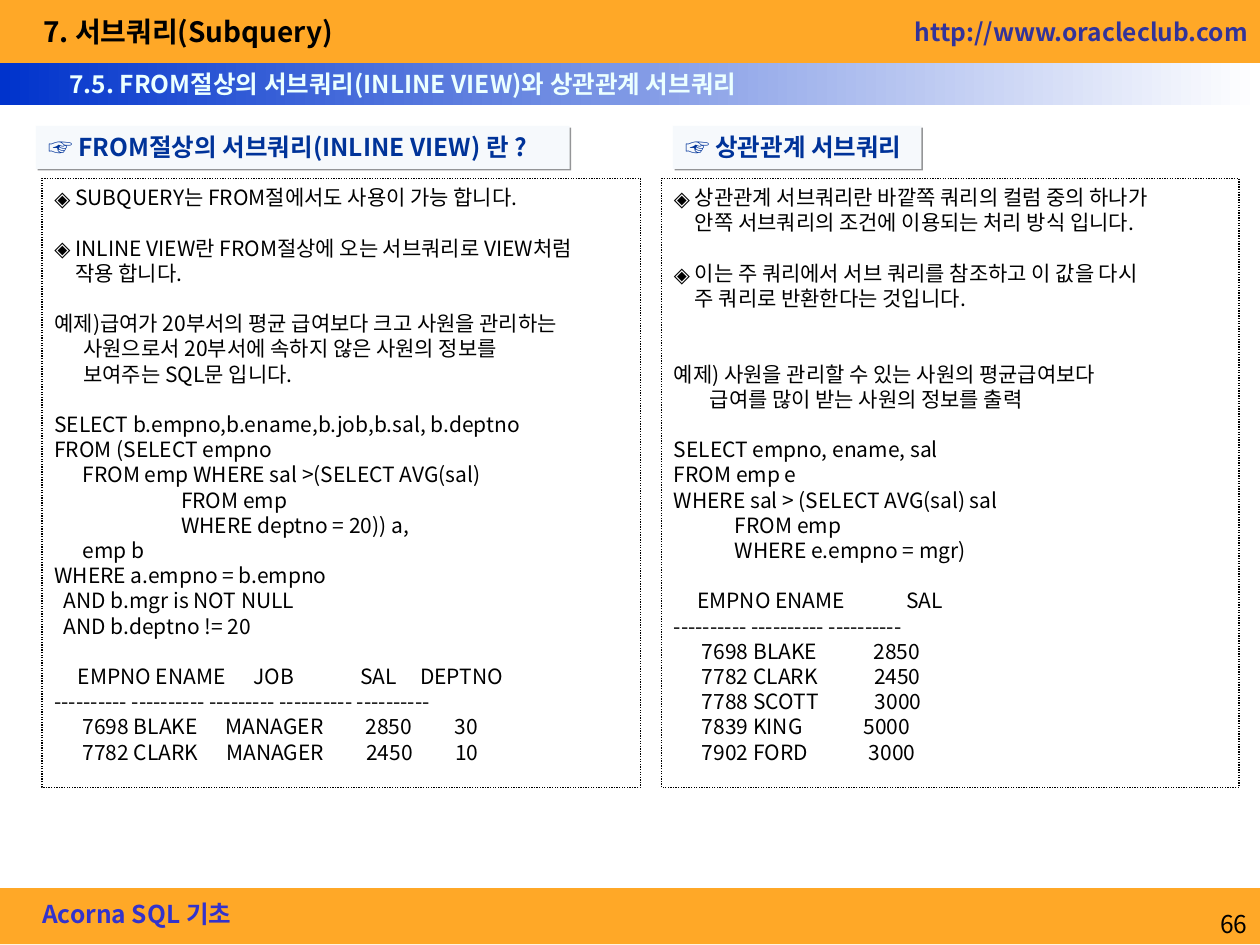
"""Build the slide on inline views and correlated subqueries."""
from dataclasses import dataclass

from lxml import etree
from pptx import Presentation
from pptx import util as u
from pptx.dml import color
from pptx.enum import dml, shapes, text
from pptx.oxml import ns


@dataclass(frozen=True)
class Theme:
    """Colours, font and type sizes of the slide."""
    font: str = "Noto Sans CJK KR"
    bar: str = "FFA827"
    fade_from: str = "0033CC"
    fade_to: str = "FFFFFF"
    ink: str = "000000"
    footer: str = "3333CC"
    link: str = "333399"
    subtitle: str = "EBFFFF"
    heading: str = "003399"
    label: str = "F6F9FC"
    shade: str = "949597"
    title_size: int = 16
    heading_size: int = 14
    body_size: int = 12
    leading: float = 1.2


THEME = Theme()
LINE = THEME.body_size * THEME.leading

INLINE_VIEW = [
    dict(words="SUBQUERY는 FROM절에서도 사용이 가능 합니다.", bullet="◈"),
    dict(words="INLINE VIEW란 FROM절상에 오는 서브쿼리로 VIEW처럼\n작용 합니다.",
         bullet="◈", gap=1),
    dict(words="예제)급여가 20부서의 평균 급여보다 크고 사원을 관리하는\n"
               "사원으로서 20부서에 속하지 않은 사원의 정보를\n"
               "보여주는 SQL문 입니다.", hang=16.5, gap=1),
    dict(words="""SELECT b.empno,b.ename,b.job,b.sal, b.deptno
FROM (SELECT empno
      FROM emp WHERE sal >(SELECT AVG(sal)
                           FROM emp
                           WHERE deptno = 20)) a,
      emp b
WHERE a.empno = b.empno
  AND b.mgr is NOT NULL
  AND b.deptno != 20""", gap=1),
    dict(words="""     EMPNO ENAME      JOB              SAL     DEPTNO
---------- ---------- --------- ---------- ----------
      7698 BLAKE      MANAGER         2850         30
      7782 CLARK      MANAGER         2450         10""", gap=1),
]

CORRELATED = [
    dict(words="상관관계 서브쿼리란 바깥쪽 쿼리의 컬럼 중의 하나가\n"
               "안쪽 서브쿼리의 조건에 이용되는 처리 방식 입니다.", bullet="◈"),
    dict(words="이는 주 쿼리에서 서브 쿼리를 참조하고 이 값을 다시\n"
               "주 쿼리로 반환한다는 것입니다.", bullet="◈", gap=1),
    dict(words="예제) 사원을 관리할 수 있는 사원의 평균급여보다\n"
               "급여를 많이 받는 사원의 정보를 출력", hang=20.5, gap=2),
    dict(words="""SELECT empno, ename, sal
FROM emp e
WHERE sal > (SELECT AVG(sal) sal
             FROM emp
             WHERE e.empno = mgr)""", gap=1),
    dict(words="""     EMPNO ENAME             SAL
---------- ---------- ----------
      7698 BLAKE            2850
      7782 CLARK            2450
      7788 SCOTT            3000
      7839 KING             5000
      7902 FORD             3000""", gap=1),
]


def rgb(value):
    """Turn a hex value into a colour."""
    return color.RGBColor.from_string(value)


def apply(target, **values):
    """Set each format value on the target."""
    for name, value in values.items():
        setattr(target, name, value)


def child(parent, tag, **attributes):
    """Add an XML element below the parent."""
    return etree.SubElement(parent, ns.qn(tag), attributes)


def place(frame, box):
    """Put a shape at left, top, width and height in points."""
    apply(frame, **dict(zip(("left", "top", "width", "height"), map(u.Pt, box))))


def write(paragraph, words, size, ink, bold=False, align=text.PP_ALIGN.LEFT,
          bullet=None, hang=0, gap=0):
    """Fill one paragraph with formatted words."""
    props = paragraph._p.get_or_add_pPr()
    hang = 12 if bullet else hang
    props.set("marL", str(u.Pt(hang)))
    props.set("indent", str(-u.Pt(hang)))
    if bullet:
        child(props, "a:buFont", typeface=THEME.font)
        child(props, "a:buChar", char=bullet)
    else:
        child(props, "a:buNone")
    apply(paragraph, text=words, alignment=align, space_before=u.Pt(gap * LINE),
          line_spacing=u.Pt(size * THEME.leading))
    for run in paragraph.runs:
        apply(run.font, name=THEME.font, size=u.Pt(size), bold=bold)
        run.font.color.rgb = rgb(ink)
        child(run._r.get_or_add_rPr(), "a:ea", typeface=THEME.font)


def set_frame(frame, wrap):
    """Give a text frame its insets, anchor and wrapping."""
    fit = text.MSO_AUTO_SIZE.NONE if wrap else text.MSO_AUTO_SIZE.SHAPE_TO_FIT_TEXT
    apply(frame, margin_left=u.Pt(7.2), margin_right=u.Pt(7.2),
          margin_top=u.Pt(3.6), margin_bottom=u.Pt(3.6), word_wrap=wrap,
          auto_size=fit, vertical_anchor=text.MSO_ANCHOR.TOP)


def add_block(slide, box):
    """Add a plain rectangle without line or shadow."""
    block = slide.shapes.add_shape(shapes.MSO_SHAPE.RECTANGLE, *map(u.Pt, box))
    block.shadow.inherit = False
    block.line.fill.background()
    return block


def add_bar(slide, box):
    """Add an orange bar."""
    bar = add_block(slide, box)
    bar.fill.solid()
    bar.fill.fore_color.rgb = rgb(THEME.bar)


def add_fade(slide, box):
    """Add the band that fades from blue to white."""
    fill = add_block(slide, box).fill
    fill.gradient()
    fill.gradient_angle = 0
    for stop, position, tone in zip(fill.gradient_stops, (0, 1),
                                    (THEME.fade_from, THEME.fade_to)):
        stop.position = position
        stop.color.rgb = rgb(tone)


def add_caption(slide, box, words, ink, wrap=False, **style):
    """Add a single line of text."""
    frame = slide.shapes.add_textbox(*map(u.Pt, box)).text_frame
    set_frame(frame, wrap)
    write(frame.paragraphs[0], words, THEME.heading_size, ink, **style)


def add_title(slide, box, words):
    """Place the title in front of the bars."""
    title = slide.shapes.title
    slide.shapes._spTree.append(title._element)
    place(title, box)
    set_frame(title.text_frame, False)
    write(title.text_frame.paragraphs[0], words, THEME.title_size, THEME.ink, bold=True)


def add_heading(slide, box, words):
    """Add a section label with a hard shadow."""
    label = add_block(slide, box)
    label.fill.solid()
    label.fill.fore_color.rgb = rgb(THEME.label)
    effects = label._element.spPr.find(ns.qn("a:effectLst"))
    shadow = child(effects, "a:outerShdw", blurRad="0", dist=str(u.Pt(1.4)),
                   dir="2700000", algn="ctr", rotWithShape="0")
    child(shadow, "a:srgbClr", val=THEME.shade)
    set_frame(label.text_frame, False)
    write(label.text_frame.paragraphs[0], words, THEME.heading_size,
          THEME.heading, bold=True)


def add_panel(slide, box, passages):
    """Add a dotted panel holding the passages."""
    panel = add_block(slide, box)
    panel.fill.background()
    panel.line.color.rgb = rgb(THEME.ink)
    apply(panel.line, width=u.Pt(0.75), dash_style=dml.MSO_LINE.ROUND_DOT)
    frame = panel.text_frame
    set_frame(frame, True)
    for number, passage in enumerate(passages):
        paragraph = frame.add_paragraph() if number else frame.paragraphs[0]
        write(paragraph, size=THEME.body_size, ink=THEME.ink, **passage)


def main():
    """Build and save the slide."""
    deck = Presentation()
    apply(deck, slide_width=u.Pt(720), slide_height=u.Pt(540))
    slide = deck.slides.add_slide(deck.slide_layouts[5])
    add_bar(slide, (0, 0, 720, 36))
    add_bar(slide, (0, 507.5, 720, 32))
    add_fade(slide, (0, 36, 720, 24))
    add_caption(slide, (17, 510, 150, 24), "Acorna SQL 기초", THEME.footer,
                wrap=True, bold=True)
    add_caption(slide, (515.5, 6, 206.5, 24), "http://www.oracleclub.com",
                THEME.link, bold=True)
    add_caption(slide, (570, 516, 150, 36), "66", THEME.ink, wrap=True,
                align=text.PP_ALIGN.RIGHT)
    add_title(slide, (17.5, 4.5, 190, 26.5), "7. 서브쿼리(Subquery)")
    add_caption(slide, (32.5, 36, 418, 24),
                "7.5. FROM절상의 서브쿼리(INLINE VIEW)와 상관관계 서브쿼리",
                THEME.subtitle, bold=True)
    add_heading(slide, (20.5, 72, 305, 24.5), "☞ FROM절상의 서브쿼리(INLINE VIEW) 란 ?")
    add_panel(slide, (24, 102, 342, 348), INLINE_VIEW)
    add_heading(slide, (384.5, 72, 142, 24.5), "☞ 상관관계 서브쿼리")
    add_panel(slide, (378, 102, 330, 348), CORRELATED)
    deck.save("out.pptx")


if __name__ == "__main__":
    main()
